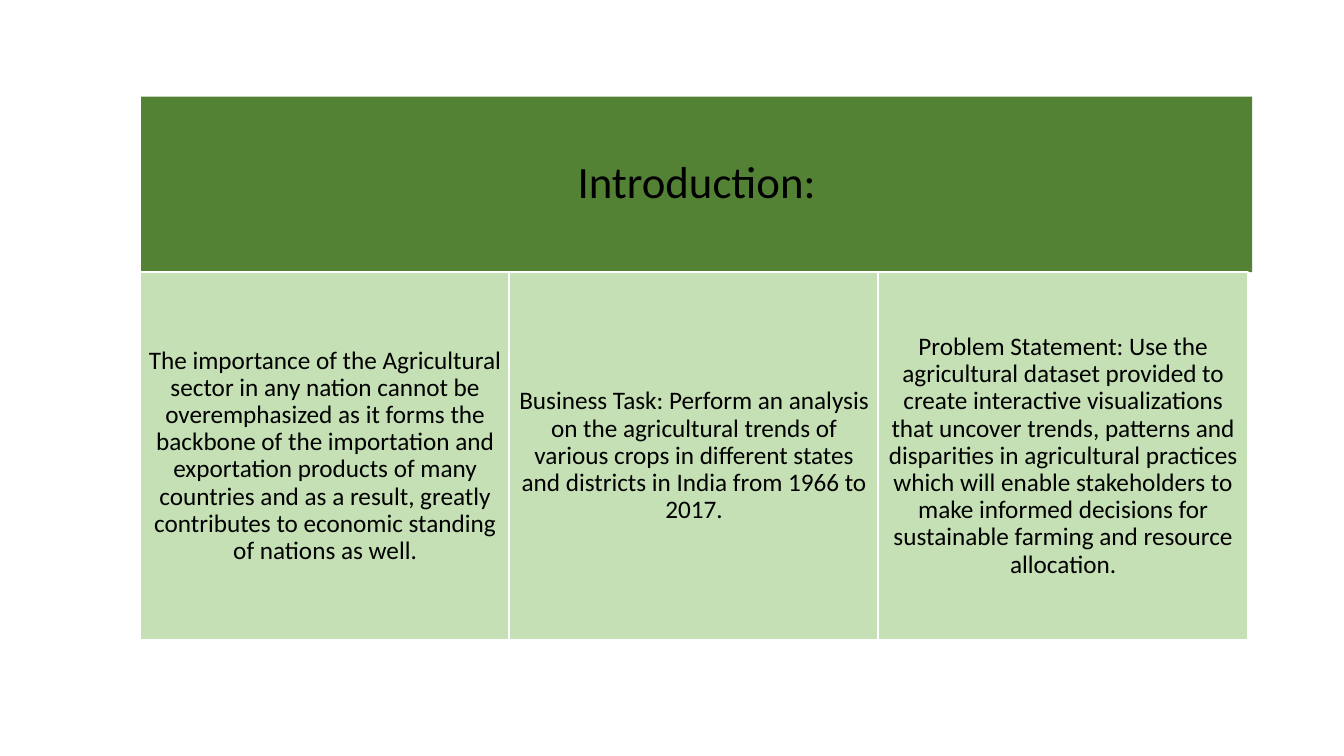
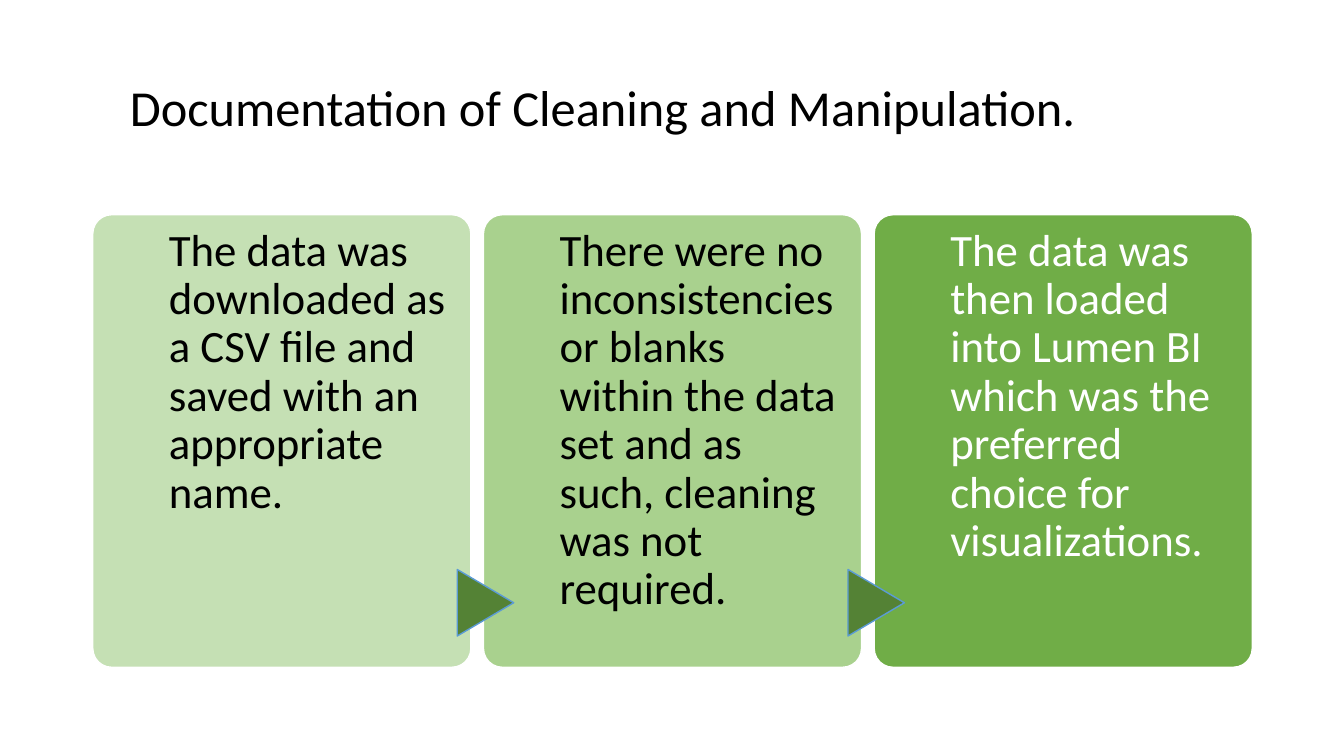
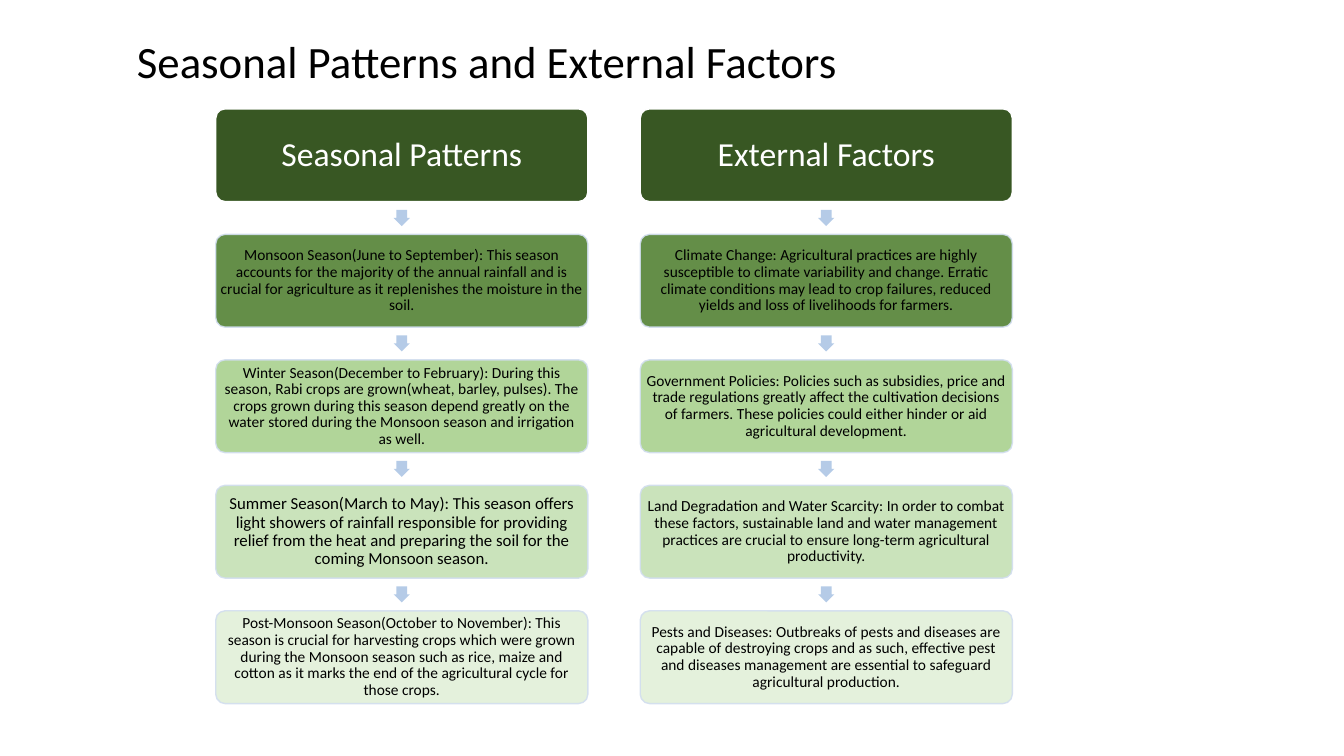
from lxml import etree
from pptx import Presentation
from pptx.dml.color import RGBColor
from pptx.enum import shapes, text
from pptx.oxml.ns import qn
from pptx.util import Inches, Pt

FONT = "Calibri"
BLACK, WHITE = "000000", "FFFFFF"
FOREST, GREEN, LEAF = "385723", "548235", "70AD47"
SAGE, MINT, PALE = "A9D18E", "C5E0B4", "E2F0D9"
ARROW, ARROW_EDGE, STEP_EDGE = "B5CBE7", "5B9BD5", "D2DEEF"
SHAPE, ALIGN, ANCHOR = shapes.MSO_SHAPE, text.PP_ALIGN, text.MSO_ANCHOR

INTRO_TITLE = "Introduction:"
INTRO = [
    "The importance of the Agricultural sector in any nation cannot be overemphasized as it forms the backbone of the importation and exportation products of many countries and as a result, greatly contributes to economic standing of nations as well.",
    "Business Task: Perform an analysis on the agricultural trends of various crops in different states and districts in India from 1966 to 2017.",
    "Problem Statement: Use the agricultural dataset provided to create interactive visualizations that uncover trends, patterns and disparities in agricultural practices which will enable stakeholders to make informed decisions for sustainable farming and resource allocation.",
]

CLEANING_TITLE = "Documentation of Cleaning and Manipulation."
CLEANING = [
    ("The data was downloaded as a CSV file and saved with an appropriate name.", MINT, BLACK),
    ("There were no inconsistencies or blanks within the data set and as such, cleaning was not required.", SAGE, BLACK),
    ("The data was then loaded into Lumen BI which was the preferred choice for visualizations.", LEAF, WHITE),
]

FACTORS_TITLE = "Seasonal Patterns and External Factors"
STEP_FILLS = [GREEN, SAGE, MINT, PALE]
FACTORS = [
    ("Seasonal Patterns", [
        ("Monsoon Season(June to September): This season accounts for the majority of the annual rainfall and is crucial for agriculture as it replenishes the moisture in the soil.", 11),
        ("Winter Season(December to February): During this season, Rabi crops are grown(wheat, barley, pulses). The crops grown during this season depend greatly on the water stored during the Monsoon season and irrigation as well.", 11),
        ("Summer Season(March to May): This season offers light showers of rainfall responsible for providing relief from the heat and preparing the soil for the coming Monsoon season.", 12),
        ("Post-Monsoon Season(October to November): This season is crucial for harvesting crops which were grown during the Monsoon season such as rice, maize and cotton as it marks the end of the agricultural cycle for those crops.", 11),
    ]),
    ("External Factors", [
        ("Climate Change: Agricultural practices are highly susceptible to climate variability and change. Erratic climate conditions may lead to crop failures, reduced yields and loss of livelihoods for farmers.", 11),
        ("Government Policies: Policies such as subsidies, price and trade regulations greatly affect the cultivation decisions of farmers. These policies could either hinder or aid agricultural development.", 11),
        ("Land Degradation and Water Scarcity: In order to combat these factors, sustainable land and water management practices are crucial to ensure long-term agricultural productivity.", 11),
        ("Pests and Diseases: Outbreaks of pests and diseases are capable of destroying crops and as such, effective pest and diseases management are essential to safeguard agricultural production.", 11),
    ]),
]


def rgb(value):
    return RGBColor.from_string(value)


def add_block(slide, kind, box, fill, line=None, adj=(), alpha=None):
    sp = slide.shapes.add_shape(kind, *map(Inches, box))
    sp.shadow.inherit = False
    sp.fill.solid()
    sp.fill.fore_color.rgb = rgb(fill)
    if line:
        sp.line.color.rgb = rgb(line)
        sp.line.width = Pt(1)
    else:
        sp.line.fill.background()
    for i, value in enumerate(adj):
        sp.adjustments[i] = value
    if alpha:
        for color in sp._element.spPr.iter(qn("a:srgbClr")):
            etree.SubElement(color, qn("a:alpha")).set("val", str(alpha * 1000))
    return sp


def write(sp, words, size, color=BLACK, align=ALIGN.CENTER, anchor=ANCHOR.MIDDLE, insets=(0.1, 0.05, 0.1, 0.05)):
    tf = sp.text_frame
    tf.word_wrap = True
    tf.vertical_anchor = anchor
    tf.margin_left, tf.margin_top, tf.margin_right, tf.margin_bottom = map(Inches, insets)
    p = tf.paragraphs[0]
    p.alignment = align
    p.line_spacing = 0.9
    r = p.add_run()
    r.text = words
    r.font.name = FONT
    r.font.size = Pt(size)
    r.font.color.rgb = rgb(color)


def add_title(slide, words, box, size):
    write(slide.shapes.add_textbox(*map(Inches, box)), words, size, align=ALIGN.LEFT)


def build_intro(slide):
    band = add_block(slide, SHAPE.RECTANGLE, (1.4, 0.96, 11.02, 1.74), GREEN)
    write(band, INTRO_TITLE, 32, insets=[0.13] * 4)
    for i, words in enumerate(INTRO):
        panel = add_block(slide, SHAPE.RECTANGLE, (1.39 + 3.66 * i, 2.7, 3.67, 3.65), MINT, WHITE)
        write(panel, words, 18, insets=[0.07] * 4)


def build_cleaning(slide):
    add_title(slide, CLEANING_TITLE, (1.19, 0.37, 11.5, 1.45), 36)
    for i, (words, fill, color) in enumerate(CLEANING):
        left = 0.92 + 3.875 * i
        card = add_block(slide, SHAPE.ROUNDED_RECTANGLE, (left, 2.13, 3.75, 4.49), fill, WHITE, [0.05])
        write(card, words, 32, color, ALIGN.LEFT, ANCHOR.TOP, (0.7, 0.07, 0.15, 0))
        if i:
            pointer = add_block(slide, SHAPE.FLOWCHART_EXTRACT, (left - 0.31, 5.7, 0.66, 0.56), GREEN, ARROW_EDGE)
            pointer.rotation = 90


def build_factors(slide):
    add_title(slide, FACTORS_TITLE, (1.26, 0.24, 11.16, 0.78), 32)
    width, height, top, pitch, arrow = 3.69, 0.92, 1.08, 1.245, 0.16
    for col, (heading, steps) in enumerate(FACTORS):
        left = 2.14 + 4.21 * col
        head = add_block(slide, SHAPE.ROUNDED_RECTANGLE, (left, top, width, height), FOREST, WHITE, [0.1])
        write(head, heading, 24, WHITE, insets=[0.03] * 4)
        for row, ((words, size), fill) in enumerate(zip(steps, STEP_FILLS), 1):
            y = top + pitch * row
            arrow_box = (left + (width - arrow) / 2, y - (pitch - height + arrow) / 2, arrow, arrow)
            add_block(slide, SHAPE.DOWN_ARROW, arrow_box, ARROW, adj=[0.667, 0.5])
            step = add_block(slide, SHAPE.ROUNDED_RECTANGLE, (left, y, width, height), fill, STEP_EDGE, [0.1], 90)
            write(step, words, size, insets=[0.02] * 4)


def main():
    prs = Presentation()
    prs.slide_width, prs.slide_height = Inches(13.33), Inches(7.5)
    for build in (build_intro, build_cleaning, build_factors):
        build(prs.slides.add_slide(prs.slide_layouts[6]))
    prs.save("out.pptx")


if __name__ == "__main__":
    main()
